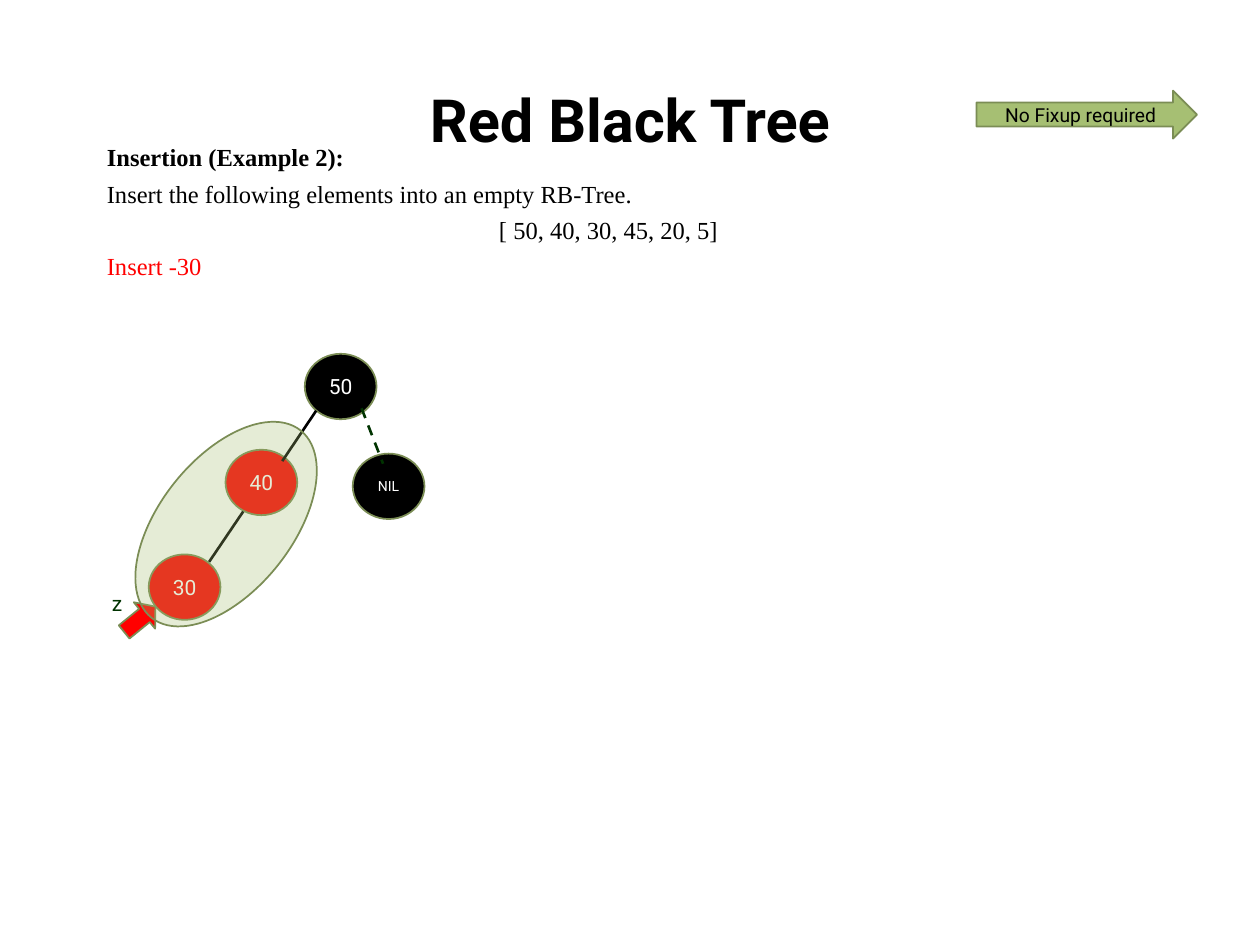
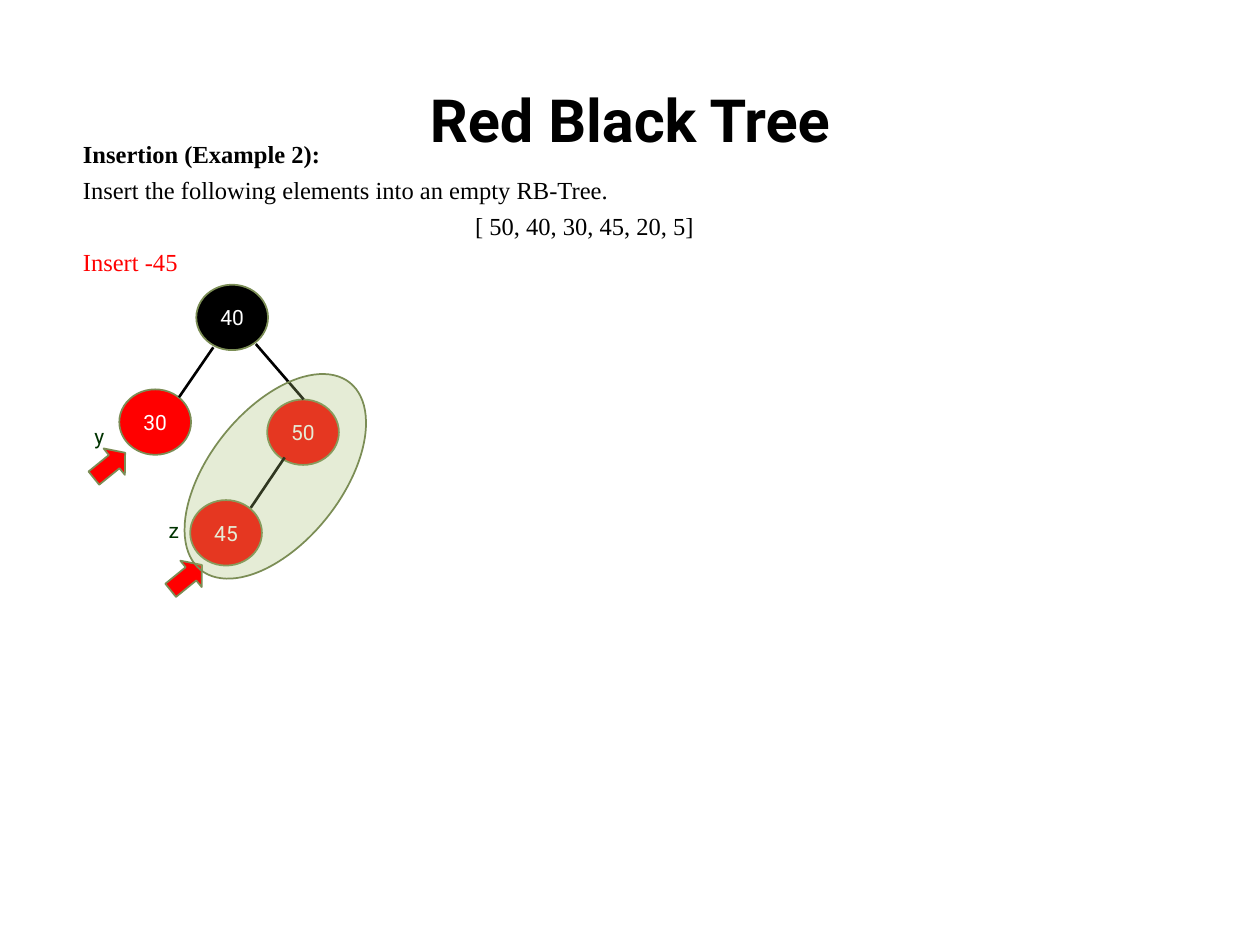
from lxml import etree
from pptx import Presentation
from pptx.dml.color import RGBColor
from pptx.enum import dml, shapes, text
from pptx.oxml import ns
from pptx.util import Pt

COLORS = {"black": "000000", "white": "FFFFFF", "red": "FF0000",
          "green": "A6BF73", "olive": "7B8D55", "dark": "003300"}
SANS, SERIF = "Roboto", "Times New Roman"
TITLE = "Red Black Tree"
TASK = [
    ("Insertion (Example 2):", True, "black", "JUSTIFY"),
    ("Insert the following elements into an empty RB-Tree.", False, "black", "JUSTIFY"),
    ("[ 50, 40, 30, 45, 20, 5]", False, "black", "CENTER"),
]

# Nodes: key, left, top, fill. Edges: start, end, colour, dashed.
# Pointers: letter, letter position, arrow position.
STEPS = [
    {
        "step": "Insert -30",
        "text_at": (54, 77.8),
        "banner": "No Fixup required",
        "nodes": [("40", 128.9, 257, "red"), ("50", 174.2, 202.2, "black"),
                  ("30", 85, 316.8, "red"), ("NIL", 201.6, 259.2, "black")],
        "edges": [((180.7, 234.7), (161.3, 263.5), "black", False),
                  ((139, 292.3), (119.5, 321.1), "black", False),
                  ((206.6, 233.3), (218.9, 265), "dark", True)],
        "pointers": [("z", (56.9, 334.1), (68.4, 344.2))],
        "halo_at": (91.4, 231.1),
    },
    {
        "step": "Insert -45",
        "text_at": (40.3, 75.6),
        "banner": None,
        "nodes": [("40", 112.2, 162.7, "black"), ("50", 152.7, 228.3, "red"),
                  ("30", 68.2, 222.5, "red"), ("45", 108.7, 285.8, "red")],
        "edges": [((146.2, 196.6), (173.5, 228.2), "black", False),
                  ((121.9, 198.5), (102.3, 227), "black", False),
                  ((162.7, 261.4), (143.3, 290.2), "black", False)],
        "pointers": [("z", (89.3, 292.3), (95, 320.4)),
                     ("y", (46.8, 238.3), (51.1, 256.3))],
        "halo_at": (119.5, 203.8),
    },
]

NODE_SIZE = (41, 37.4)
ARROW_SIZE = (23, 19.4)
HALO_SIZE = (75.6, 136.8)


def color(name):
    return RGBColor.from_string(COLORS[name])


def add_run(para, words, size, ink, font=SANS, bold=False):
    span = para.add_run()
    span.text = words
    span.font.size, span.font.name, span.font.bold = Pt(size), font, bold
    span.font.color.rgb = color(ink)


def add_figure(page, kind, at, size, fill, rotation=0):
    figure = page.shapes.add_shape(kind, *map(Pt, at + size))
    figure.shadow.inherit = False
    figure.fill.solid()
    figure.fill.fore_color.rgb = color(fill)
    figure.line.color.rgb = color("olive")
    figure.line.width = Pt(1)
    figure.rotation = rotation
    return figure


def add_label(figure, words, size, ink):
    frame = figure.text_frame
    frame.word_wrap = False
    frame.vertical_anchor = text.MSO_ANCHOR.MIDDLE
    para = frame.paragraphs[0]
    para.alignment = text.PP_ALIGN.CENTER
    add_run(para, words, size, ink)


def add_title(page):
    title = page.shapes.title
    title.left, title.top, title.width, title.height = map(Pt, (36, 39.6, 648, 56.9))
    title.text_frame.vertical_anchor = text.MSO_ANCHOR.MIDDLE
    para = title.text_frame.paragraphs[0]
    para.alignment = text.PP_ALIGN.CENTER
    add_run(para, TITLE, 34, "black", bold=True)


def add_task(page, step, at):
    frame = page.shapes.add_textbox(*map(Pt, at + (587.5, 87.1))).text_frame
    frame.word_wrap = True
    lines = TASK + [(step, False, "red", "LEFT")]
    for index, (words, bold, ink, align) in enumerate(lines):
        para = frame.add_paragraph() if index else frame.paragraphs[0]
        para.alignment = text.PP_ALIGN[align]
        para.space_before = Pt(3.9 if index else 0)
        add_run(para, words, 14, ink, SERIF, bold)


def add_edge(page, start, end, ink, dashed):
    edge = page.shapes.add_connector(shapes.MSO_CONNECTOR.STRAIGHT,
                                     *map(Pt, start + end))
    edge.line.color.rgb = color(ink)
    edge.line.width = Pt(1.5)
    if dashed:
        edge.line.dash_style = dml.MSO_LINE.DASH
    etree.SubElement(edge._element.spPr, ns.qn("a:effectLst"))


def add_pointer(page, letter, letter_at, arrow_at):
    box = page.shapes.add_textbox(*map(Pt, letter_at + (19.4, 21.6)))
    add_run(box.text_frame.paragraphs[0], letter, 12, "dark")
    arrow = add_figure(page, shapes.MSO_SHAPE.RIGHT_ARROW, arrow_at, ARROW_SIZE,
                       "red", 321)
    arrow.adjustments[1] = 0.415


def add_halo(page, at):
    halo = add_figure(page, shapes.MSO_SHAPE.OVAL, at, HALO_SIZE, "green", 38.5)
    tint = halo._element.spPr.find(".//" + ns.qn("a:srgbClr"))
    etree.SubElement(tint, ns.qn("a:alpha"), val="29000")


def add_step(deck, step):
    page = deck.slides.add_slide(deck.slide_layouts[5])
    add_title(page)
    add_task(page, step["step"], step["text_at"])
    if step["banner"]:
        banner = add_figure(page, shapes.MSO_SHAPE.RIGHT_ARROW, (558, 51.8),
                            (126, 27.4), "green")
        add_label(banner, step["banner"], 11, "black")
    # Tree
    for key, left, top, fill in step["nodes"]:
        node = add_figure(page, shapes.MSO_SHAPE.OVAL, (left, top), NODE_SIZE, fill)
        add_label(node, key, 8 if key == "NIL" else 12, "white")
    for edge in step["edges"]:
        add_edge(page, *edge)
    # Marks on the tree
    for pointer in step["pointers"]:
        add_pointer(page, *pointer)
    add_halo(page, step["halo_at"])


def main():
    deck = Presentation()
    deck.slide_width, deck.slide_height = Pt(720), Pt(540)
    for step in STEPS:
        add_step(deck, step)
    deck.save("out.pptx")


if __name__ == "__main__":
    main()
